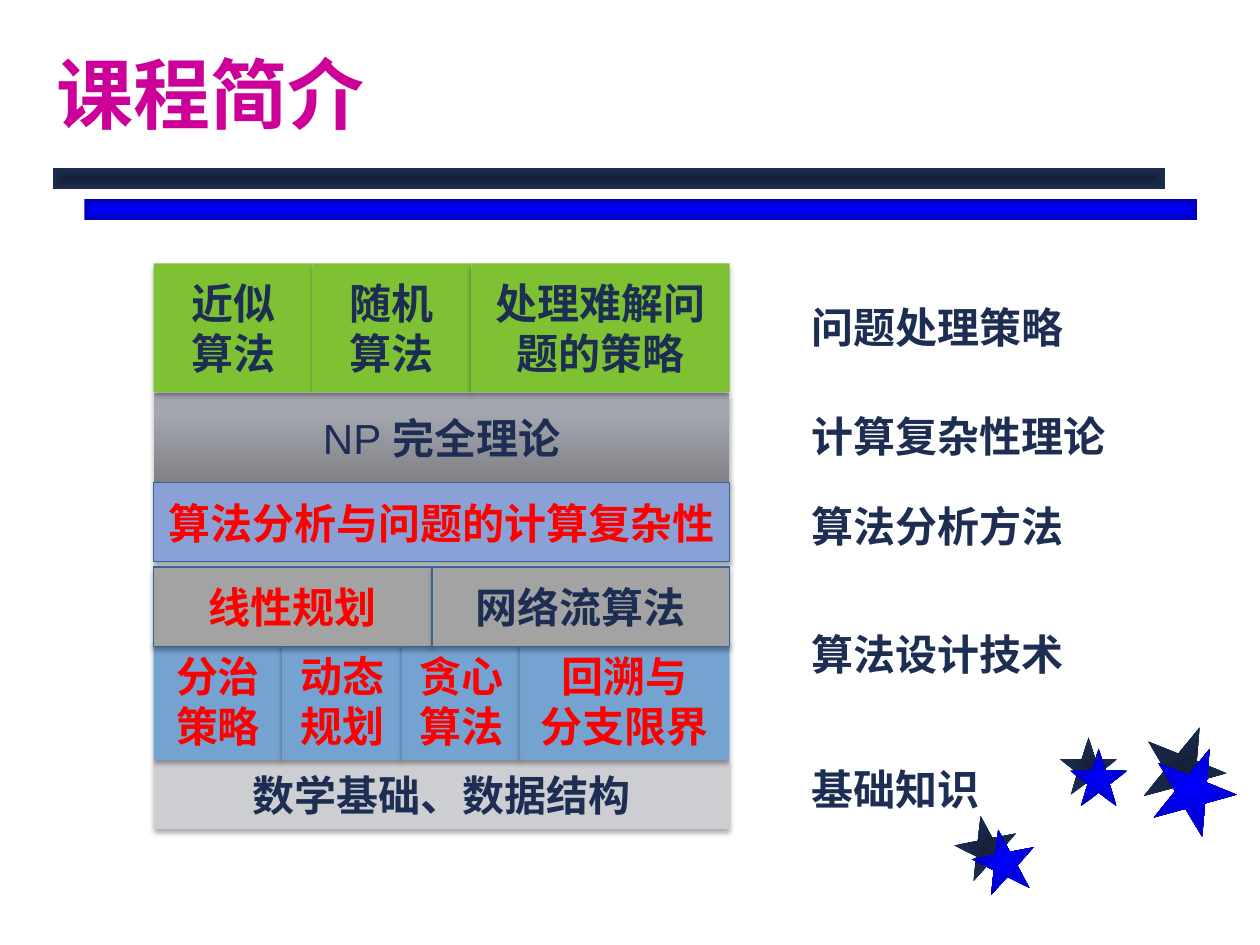
import math

from lxml import etree
from pptx import Presentation
from pptx import util as u
from pptx.dml.color import RGBColor
from pptx.enum import shapes, text
from pptx.oxml import ns

NAVY, RED, PINK = "1E2E53", "FF0000", "CC0099"
CJK = "Noto Sans CJK SC"
DARK_GLOW = [(0, "15213B"), (100, "1E2E53")]
BLUE_GLOW = [(0, "0000FF"), (100, "0000B6")]
STEEL = [(0, "7F8186"), (80, "A5A7AF"), (100, "A5A8B0")]


def color(value):
    return RGBColor.from_string(value)


def add_element(parent, tag, **attributes):
    return etree.SubElement(parent, ns.qn(tag), attributes)


class SlideBuilder:
    """Draws styled elements on the current slide."""

    def __init__(self, slide):
        self.slide = slide

    def fill_gradient(self, shape, stops, path=None):
        shape.fill.gradient()
        gradient = shape._element.spPr.find(ns.qn("a:gradFill"))
        for child in list(gradient):
            gradient.remove(child)
        stop_list = add_element(gradient, "a:gsLst")
        for position, value in stops:
            stop = add_element(stop_list, "a:gs", pos=str(position * 1000))
            add_element(stop, "a:srgbClr", val=value)
        if path:
            center = dict.fromkeys("ltrb", "50000")
            add_element(add_element(gradient, "a:path", path=path), "a:fillToRect", **center)
        else:
            add_element(gradient, "a:lin", ang=str(270 * 60000), scaled="0")

    def add_shadow(self, shape):
        effects = shape._element.spPr.find(ns.qn("a:effectLst"))
        shadow = add_element(effects, "a:outerShdw", blurRad=str(u.Pt(3.1)), dist=str(u.Pt(1.8)),
                             dir=str(90 * 60000), rotWithShape="0")
        add_element(add_element(shadow, "a:srgbClr", val="000000"), "a:alpha", val="35000")

    def format_run(self, run, size, value, font=CJK, bold=True):
        run.font.size = u.Pt(size)
        run.font.name = font
        run.font.bold = bold
        run.font.color.rgb = color(value)
        add_element(run._r.get_or_add_rPr(), "a:ea", typeface=CJK)

    def add_ornament(self, kind, left, top, width, height, stops, rotation=0):
        shape = self.slide.shapes.add_shape(
            kind, u.Inches(left), u.Inches(top), u.Inches(width), u.Inches(height))
        shape.rotation = rotation
        shape.shadow.inherit = False
        shape.line.fill.background()
        self.fill_gradient(shape, stops, "shape")

    def add_tab(self, edge, direction):
        top, radius, length, steps = 7.02, 0.19, 0.61, 16
        center = edge + direction * (length - radius)
        angles = [math.pi * step / steps for step in range(steps + 1)]
        arc = [(center + direction * radius * math.sin(angle),
                top + radius - radius * math.cos(angle)) for angle in angles]
        builder = self.slide.shapes.build_freeform(edge, top, scale=u.Inches(1))
        builder.add_line_segments(arc + [(edge, top + 2 * radius)], close=True)
        shape = builder.convert_to_shape()
        shape.shadow.inherit = False
        shape.line.fill.background()
        self.fill_gradient(shape, BLUE_GLOW, "rect")

    def add_block(self, left, top, width, height, fill, lines, value, border=False):
        shape = self.slide.shapes.add_shape(
            shapes.MSO_SHAPE.RECTANGLE, u.Inches(left), u.Inches(top), u.Inches(width), u.Inches(height))
        shape.shadow.inherit = False
        self.add_shadow(shape)
        if isinstance(fill, list):
            self.fill_gradient(shape, fill)
        else:
            shape.fill.solid()
            shape.fill.fore_color.rgb = color(fill)
        if border:
            shape.line.color.rgb = color("336699")
            shape.line.width = u.Pt(0.75)
        else:
            shape.line.fill.background()
        frame = shape.text_frame
        frame.word_wrap = True
        frame.vertical_anchor = text.MSO_ANCHOR.MIDDLE
        frame.text = lines
        for paragraph in frame.paragraphs:
            paragraph.alignment = text.PP_ALIGN.CENTER
            paragraph.line_spacing = u.Pt(28.8)
            for run in paragraph.runs:
                self.format_run(run, 24, value)
        return shape

    def add_row(self, top, height, fill, cells, border=False):
        left = 1.22
        for lines, width, value in cells:
            shape = self.add_block(left, top, width, height, fill, lines, value, border)
            left += width
        return shape

    def add_text(self, left, top, width, height, words, size, value, font=CJK):
        box = self.slide.shapes.add_textbox(
            u.Inches(left), u.Inches(top), u.Inches(width), u.Inches(height))
        frame = box.text_frame
        frame.word_wrap = True
        frame.vertical_anchor = text.MSO_ANCHOR.BOTTOM
        frame.text = words
        paragraph = frame.paragraphs[0]
        paragraph.line_spacing = u.Pt(size * 1.2)
        self.format_run(paragraph.runs[0], size, value, font)


def main():
    presentation = Presentation()
    presentation.slide_width, presentation.slide_height = u.Inches(10), u.Inches(7.5)
    builder = SlideBuilder(presentation.slides.add_slide(presentation.slide_layouts[6]))

    star, bar = shapes.MSO_SHAPE.STAR_5_POINT, shapes.MSO_SHAPE.RECTANGLE
    dark_stars = [(7.58, 6.47, 0.5, 349), (8.41, 5.85, 0.46, 0), (9.06, 5.75, 0.67, 22)]
    blue_stars = [(7.72, 6.58, 0.5, 349), (8.49, 5.94, 0.46, 0), (9.14, 5.92, 0.67, 22)]
    for stops, stars in ((DARK_GLOW, dark_stars), (BLUE_GLOW, blue_stars)):
        for left, top, size, rotation in stars:
            builder.add_ornament(star, left, top, size, size, stops, rotation)
    builder.add_ornament(bar, 0.67, 1.58, 8.83, 0.17, BLUE_GLOW)
    builder.add_ornament(bar, 0.42, 1.33, 8.83, 0.17, DARK_GLOW)
    builder.add_tab(1.46, -1)
    builder.add_tab(1.58, 1)

    builder.add_text(0.35, 0.28, 8.66, 0.87, "课程简介", 44, PINK, "Arial")

    builder.add_row(6.03, 0.55, "CDCED1", [("数学基础、数据结构", 4.57, NAVY)])
    builder.add_row(5.09, 0.94, "75A3D1", [
        ("分治\n策略", 1.02, RED), ("动态规划", 0.95, RED),
        ("贪心算法", 0.94, RED), ("回溯与\n分支限界", 1.66, RED)])
    theory = builder.add_row(3.12, 0.71, STEEL, [("NP ", 4.57, NAVY)])
    paragraph = theory.text_frame.paragraphs[0]
    builder.format_run(paragraph.runs[0], 24, NAVY, "Arial", False)
    run = paragraph.add_run()
    run.text = "完全理论"
    builder.format_run(run, 24, NAVY)
    builder.add_row(2.09, 1.02, "7EC234", [
        ("近似\n算法", 1.26, NAVY), ("随机\n算法", 1.26, NAVY), ("处理难解问题的策略", 2.05, NAVY)])
    builder.add_row(3.83, 0.63, "8AA1D5", [("算法分析与问题的计算复杂性", 4.57, RED)], True)

    labels = [("问题处理策略", 2.33), ("计算复杂性理论", 3.2), ("算法分析方法", 3.91),
              ("算法设计技术", 4.93), ("基础知识", 6)]
    for words, top in labels:
        builder.add_text(6.34, top, 2.68, 0.51, words, 24, NAVY)

    builder.add_row(4.5, 0.63, "A3A3A3", [("线性规划", 2.21, RED), ("网络流算法", 2.36, NAVY)], True)
    presentation.save("out.pptx")


if __name__ == "__main__":
    main()
